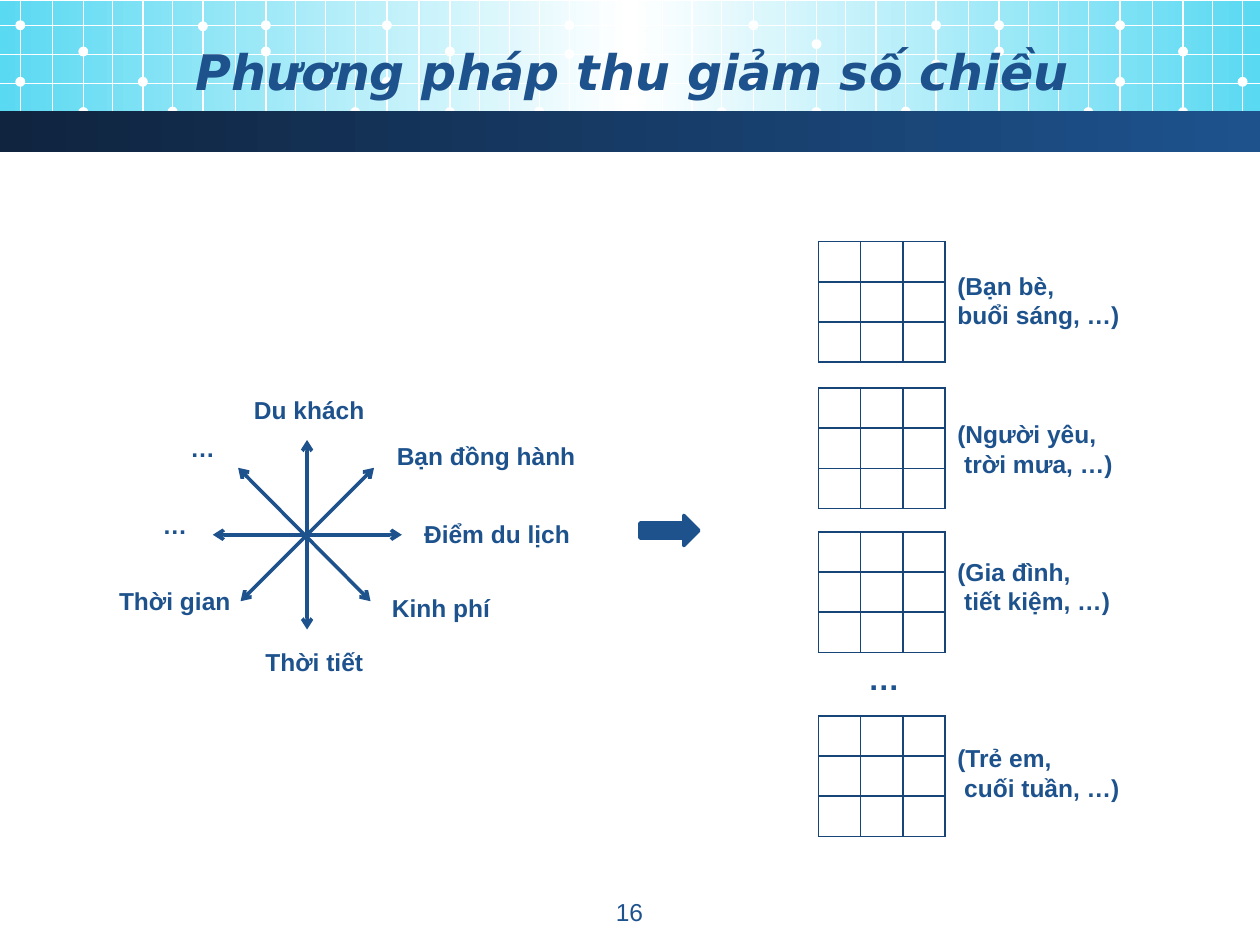
from lxml import etree
from pptx import Presentation
from pptx import util as u
from pptx.dml.color import RGBColor
from pptx.enum import shapes, text
from pptx.oxml.ns import qn
from copy import deepcopy

COLORS = {
    "ink": "1D528D",
    "grid": "174578",
    "sky": "5AD9F2",
    "white": "FFFFFF",
    "night": "10243F",
}
LABEL = {"size": u.Pt(14), "name": "Arial", "bold": True}
ELLIPSIS = {**LABEL, "size": u.Pt(18)}
PAGE = {**LABEL, "bold": False}
HEADING = {"size": u.Pt(28), "name": "DejaVu Sans", "bold": True, "italic": True}


def color(name):
    return RGBColor.from_string(COLORS[name])


class Deck:
    def __init__(self, slide):
        self.slide = slide
        self.shapes = slide.shapes

    def style(self, paragraph, fmt, align):
        paragraph.alignment = align
        for run in paragraph.runs:
            for key, value in fmt.items():
                setattr(run.font, key, value)
            run.font.color.rgb = color("ink")

    def title(self, words, x, y, w, h):
        heading = self.shapes.title
        place = {"left": x, "top": y, "width": w, "height": h}
        for key, value in place.items():
            setattr(heading, key, u.Cm(value))
        heading.text_frame.text = words
        heading.text_frame.vertical_anchor = text.MSO_ANCHOR.MIDDLE
        self.style(heading.text_frame.paragraphs[0], HEADING, text.PP_ALIGN.RIGHT)
        self.shapes._spTree.append(heading._element)

    def label(self, words, x, y, w, h=0.86, fmt=LABEL, align=text.PP_ALIGN.LEFT, wrap=False):
        frame = self.shapes.add_textbox(u.Cm(x), u.Cm(y), u.Cm(w), u.Cm(h)).text_frame
        frame.word_wrap = wrap
        if not wrap:
            frame.auto_size = text.MSO_AUTO_SIZE.SHAPE_TO_FIT_TEXT
        frame.paragraphs[0].text = words
        self.style(frame.paragraphs[0], fmt, align)

    def shape(self, kind, x, y, w, h, fill="ink", outline=None):
        item = self.shapes.add_shape(kind, u.Cm(x), u.Cm(y), u.Cm(w), u.Cm(h))
        item.shadow.inherit = False
        item.fill.solid()
        item.fill.fore_color.rgb = color(fill)
        if outline:
            item.line.color.rgb = color(fill)
            item.line.width = u.Pt(outline)
        else:
            item.line.fill.background()
        return item

    def band(self, y, h, names):
        strip = self.shape(shapes.MSO_SHAPE.RECTANGLE, 0, y, 25.4, h)
        strip.fill.gradient()
        strip.fill.gradient_angle = 0
        stop_list = strip.fill._fill._gradFill.gsLst
        while len(stop_list) < len(names):
            stop_list.append(deepcopy(stop_list[0]))
        for i, (stop, name) in enumerate(zip(strip.fill.gradient_stops, names)):
            stop.color.rgb = color(name)
            stop.position = i / (len(names) - 1)

    def line(self, x1, y1, x2, y2, ink="white", width=0.75, arrows=False):
        link = self.shapes.add_connector(
            shapes.MSO_CONNECTOR.STRAIGHT, u.Cm(x1), u.Cm(y1), u.Cm(x2), u.Cm(y2))
        link.line.color.rgb = color(ink)
        link.line.width = u.Pt(width)
        if arrows:
            for end in ("a:headEnd", "a:tailEnd"):
                etree.SubElement(link.line._ln, qn(end), type="arrow")
        etree.SubElement(link._element.spPr, qn("a:effectLst"))

    def grid(self, x, y, size=3, col=0.85, row=0.81):
        table = self.shapes.add_table(
            size, size, u.Cm(x), u.Cm(y), u.Cm(size * col), u.Cm(size * row)).table
        table.first_row = table.horz_banding = False
        for column in table.columns:
            column.width = u.Cm(col)
        for line in table.rows:
            line.height = u.Cm(row)
        for cell in table.iter_cells():
            props = cell._tc.get_or_add_tcPr()
            for side in ("lnL", "lnR", "lnT", "lnB"):
                border = etree.SubElement(props, qn(f"a:{side}"), w=str(u.Pt(1)))
                solid = etree.SubElement(border, qn("a:solidFill"))
                etree.SubElement(solid, qn("a:srgbClr"), val=COLORS["grid"])
            cell.fill.background()
            for margin in ("left", "right", "top", "bottom"):
                setattr(cell, f"margin_{margin}", 0)

    def header(self):
        self.band(0.02, 2.59, ("sky", "white", "sky"))
        columns = (0, 0.65, 1.27, 1.86, 2.47, 3.07, 3.68, 4.34, 4.95, 5.55, 6.15, 6.75)
        dots = {0: (1.65, 0.51), 2: (1.04, 2.26), 4: (1.65,), 5: (2.25,),
                6: (1.09, 0.51), 8: (1.04, 0.51), 10: (1.65,), 11: (2.26,)}
        moved = {(0, 6): (1.65, 0.53), (2, 2): (0.89, 2.26), (2, 6): (1.3, 0.51)}
        dot = 0.2
        for block in range(4):
            for i, offset in enumerate(columns):
                x = 0.41 + 7.39 * block + offset
                if x > 25.4:
                    break
                self.line(x, 0.01, x, 2.79)
                for y in moved.get((block, i), dots.get(i, ())):
                    self.shape(shapes.MSO_SHAPE.OVAL, x - dot / 2, y - dot / 2, dot, dot, "white")
        for y in (0.51, 1.1, 1.69, 2.27):
            self.line(0, y, 25.4, y)
        self.band(2.23, 0.84, ("night", "ink"))


def main():
    prs = Presentation()
    prs.slide_width, prs.slide_height = u.Cm(25.4), u.Cm(19.05)
    deck = Deck(prs.slides.add_slide(prs.slide_layouts[5]))
    deck.header()
    deck.title("Phương pháp thu giảm số chiều", 1.27, 0.64, 20.52, 1.57)
    deck.label("16", 9.73, 17.95, 5.92, 0.9, PAGE, text.PP_ALIGN.CENTER, True)

    axes = [(4.29, 10.78, 8.1, 10.78), (6.19, 8.87, 6.19, 12.69),
            (7.54, 9.43, 4.85, 12.12), (7.47, 12.12, 4.8, 9.43)]
    for axis in axes:
        deck.line(*axis, ink="ink", width=2, arrows=True)

    dimensions = [
        ("Du khách", 4.87, 7.83, 2.74),
        ("Điểm du lịch", 8.3, 10.34, 3.48),
        ("Bạn đồng hành", 7.75, 8.76, 4.11),
        ("Kinh phí", 7.65, 11.82, 2.49),
        ("Thời tiết", 5.1, 12.92, 2.49),
        ("Thời gian", 2.15, 11.69, 2.77),
        ("…", 3.03, 10.16, 1.02),
        ("…", 3.59, 8.61, 1.02),
    ]
    for dimension in dimensions:
        deck.label(*dimension)

    deck.shape(shapes.MSO_SHAPE.RIGHT_ARROW, 12.9, 10.39, 1.19, 0.61, outline=2)

    contexts = [
        ("(Bạn bè,\nbuổi sáng, …)", 4.87, 5.33, 3.78),
        ("(Người yêu,\n trời mưa, …)", 7.82, 8.33, 3.66),
        ("(Gia đình,\n tiết kiệm, …)", 10.72, 11.1, 3.61),
        ("(Trẻ em,\n cuối tuần, …)", 14.43, 14.86, 3.78),
    ]
    for words, grid_top, label_top, width in contexts:
        deck.grid(16.5, grid_top)
        deck.label(words, 19.05, label_top, width, 1.45)
    deck.label("…", 17.25, 13.16, 1.14, 1.02, ELLIPSIS)

    prs.save("out.pptx")


if __name__ == "__main__":
    main()
